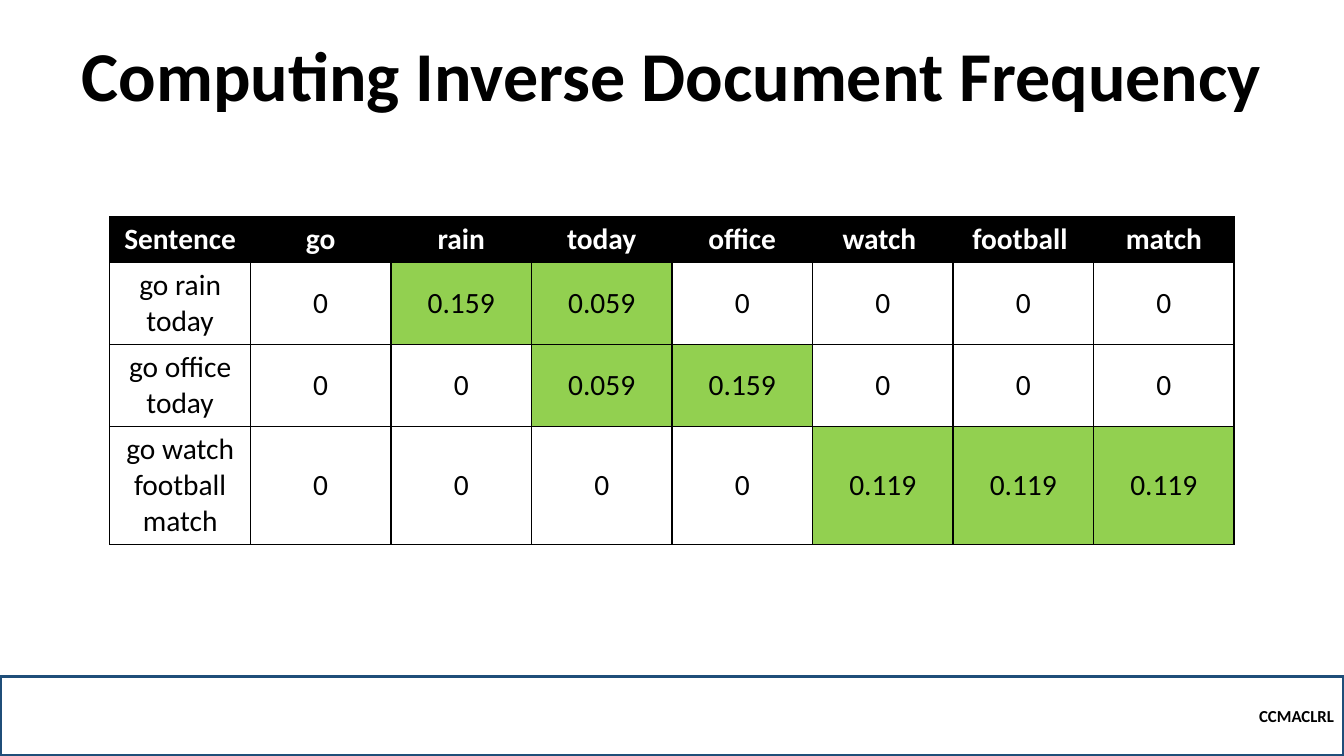
from lxml import etree
from pptx import Presentation
from pptx.dml.color import RGBColor
from pptx.enum import shapes, text
from pptx.oxml import ns
from pptx.util import Pt

BLACK = RGBColor(0x00, 0x00, 0x00)
WHITE = RGBColor(0xFF, 0xFF, 0xFF)
GREEN = RGBColor(0x92, 0xD0, 0x50)
NAVY = RGBColor(0x1F, 0x4E, 0x79)
FONT = "Calibri"
LINE_HEIGHT, CELL_PADDING = 25.7, 7.2

HEADERS = ["Sentence", "go", "rain", "today", "office", "watch ", "football ", "match"]
# Sentence, its line count in the column, and one value per word
ROWS = [
    ("go rain today", 2, ["0", "0.159", "0.059", "0", "0", "0", "0"]),
    ("go office today", 2, ["0", "0", "0.059", "0.159", "0", "0", "0"]),
    ("go watch football match", 3, ["0", "0", "0", "0", "0.119", "0.119", "0.119"]),
]


def write(tf, words, size, color, bold, align):
    p = tf.paragraphs[0]
    p.alignment = align
    r = p.add_run()
    r.text = words
    r.font.name, r.font.size, r.font.bold = FONT, Pt(size), bold
    r.font.color.rgb = color
    return p


def set_borders(cell, color, width):
    tcPr = cell._tc.get_or_add_tcPr()
    for i, side in enumerate(("lnL", "lnR", "lnT", "lnB")):
        ln = etree.Element(ns.qn("a:" + side), w=str(Pt(width)))
        fill = etree.SubElement(ln, ns.qn("a:solidFill"))
        etree.SubElement(fill, ns.qn("a:srgbClr"), val=str(color))
        tcPr.insert(i, ln)  # borders come before the fill


def fill_cell(cell, words, fill=None, color=BLACK, bold=False,
              anchor=text.MSO_ANCHOR.MIDDLE):
    if fill is None:
        cell.fill.background()
    else:
        cell.fill.solid()
        cell.fill.fore_color.rgb = fill
    cell.vertical_anchor = anchor
    write(cell.text_frame, words, 21, color, bold, text.PP_ALIGN.CENTER)
    set_borders(cell, BLACK, 1)


def add_footer(slide, left, top, width, height):
    sp = slide.shapes.add_shape(shapes.MSO_SHAPE.RECTANGLE,
                                Pt(left), Pt(top), Pt(width), Pt(height))
    sp.shadow.inherit = False
    sp.fill.background()
    sp.line.color.rgb = NAVY
    sp.line.width = Pt(2.25)
    sp.text_frame.vertical_anchor = text.MSO_ANCHOR.MIDDLE
    write(sp.text_frame, "CCMACLRL", 12, BLACK, True, text.PP_ALIGN.RIGHT)


def add_title(slide, left, top, width, height):
    tf = slide.shapes.add_textbox(Pt(left), Pt(top), Pt(width), Pt(height)).text_frame
    tf.word_wrap = True
    tf.vertical_anchor = text.MSO_ANCHOR.BOTTOM
    p = write(tf, "Computing Inverse Document Frequency", 50, BLACK, True,
              text.PP_ALIGN.CENTER)
    p.line_spacing = 0.9


def add_idf_table(slide, left, top, width):
    lines = [1] + [count for _, count, _ in ROWS]
    heights = [CELL_PADDING + LINE_HEIGHT * count for count in lines]
    table = slide.shapes.add_table(len(lines), len(HEADERS), Pt(left), Pt(top),
                                   Pt(width), Pt(sum(heights))).table
    table.horz_banding = False
    for row, height in zip(table.rows, heights):
        row.height = Pt(height)
    for column in table.columns:
        column.width = Pt(width / len(HEADERS))

    # Header row
    for c, word in enumerate(HEADERS):
        fill_cell(table.cell(0, c), word, BLACK, WHITE, True, text.MSO_ANCHOR.TOP)

    # Sentence rows, with the nonzero values highlighted
    for r, (sentence, _, values) in enumerate(ROWS, 1):
        fill_cell(table.cell(r, 0), sentence, anchor=text.MSO_ANCHOR.TOP)
        for c, value in enumerate(values, 1):
            fill_cell(table.cell(r, c), value, None if value == "0" else GREEN)


def main():
    prs = Presentation()
    prs.slide_width, prs.slide_height = Pt(960), Pt(540)
    slide = prs.slides.add_slide(prs.slide_layouts[6])
    add_footer(slide, 0, 483, 960, 57)
    add_title(slide, 36, 29.5, 888, 57)
    add_idf_table(slide, 78.5, 154.8, 803)
    prs.save("out.pptx")


if __name__ == "__main__":
    main()
